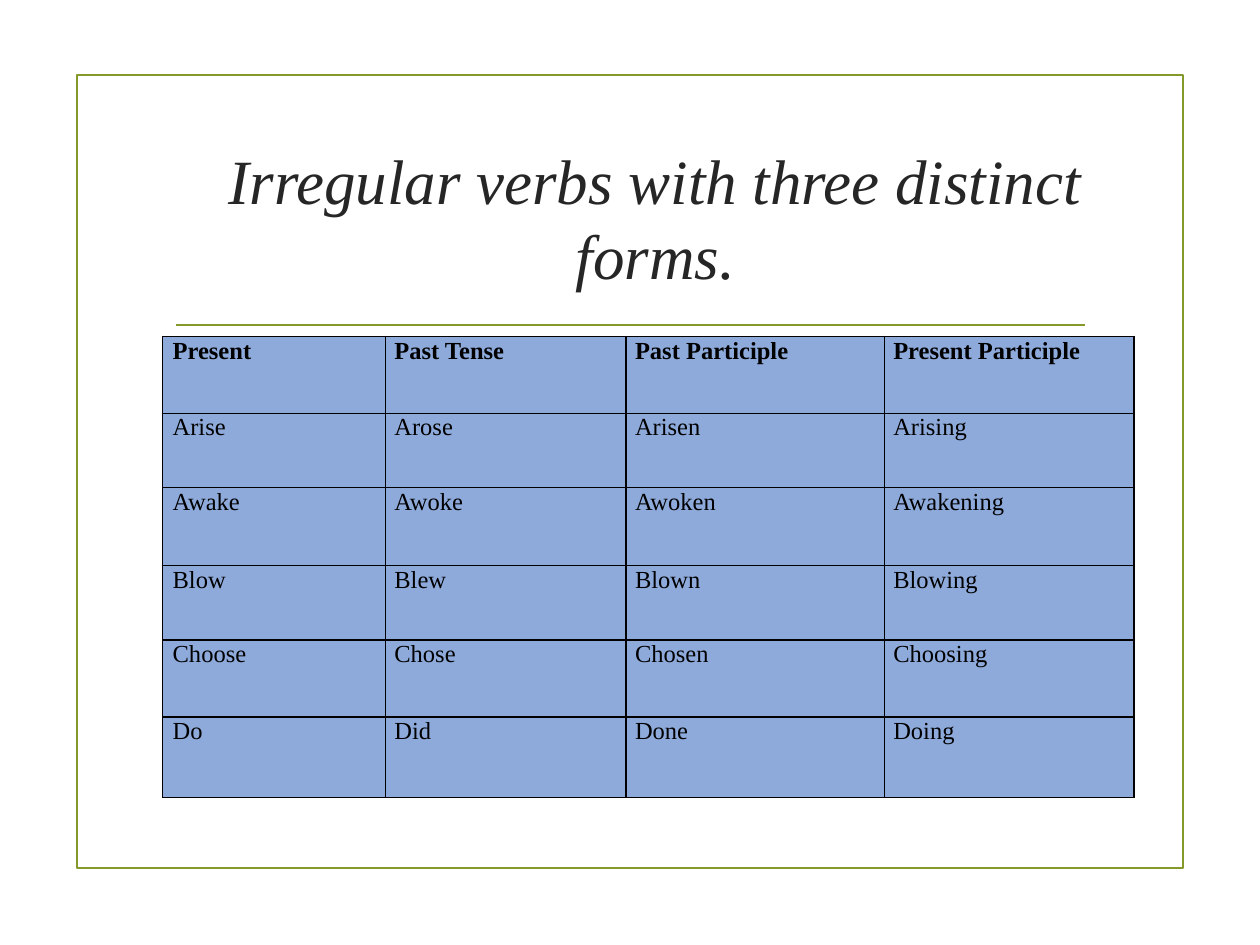
from dataclasses import dataclass

from lxml.etree import SubElement
from pptx import Presentation
from pptx.dml.color import RGBColor as Color
from pptx.enum.shapes import MSO_CONNECTOR as Connector, MSO_SHAPE as Preset
from pptx.enum.text import MSO_ANCHOR as Anchor, MSO_AUTO_SIZE as AutoSize, PP_ALIGN as Align
from pptx.oxml.ns import qn
from pptx.util import Inches, Pt


@dataclass(frozen=True)
class Theme:
    font: str = "Times New Roman"
    accent: Color = Color(0x83, 0x99, 0x2A)
    title: Color = Color(0x26, 0x26, 0x26)
    ink: Color = Color(0, 0, 0)
    cell: Color = Color(0x8E, 0xAA, 0xDB)
    title_size: Pt = Pt(36)
    title_pitch: Pt = Pt(43)
    cell_size: Pt = Pt(14)
    cell_pitch: Pt = Pt(16)
    rule: Pt = Pt(1.25)
    border: Pt = Pt(1)


THEME = Theme()
WIDTH, HEIGHT = 10, 7.5
LEFT = 1.29
COLUMNS = (1.77, 1.91, 2.05, 1.98)
ROWS = (0.61, 0.59, 0.62, 0.59, 0.61, 0.64)
VERBS = (
    ("Present", "Past Tense", "Past Participle", "Present Participle"),
    ("Arise", "Arose", "Arisen", "Arising"),
    ("Awake", "Awoke", "Awoken", "Awakening"),
    ("Blow", "Blew", "Blown", "Blowing"),
    ("Choose", "Chose", "Chosen", "Choosing"),
    ("Do", "Did", "Done", "Doing"),
)


def apply(target, values):
    for name, value in values.items():
        setattr(target, name, value)


def inches(*lengths):
    return [Inches(length) for length in lengths]


def write(paragraph, text, color, indent, layout, **font):
    paragraph.text = text
    apply(paragraph, layout)
    paragraph._p.get_or_add_pPr().set("marL", str(Inches(indent)))
    apply(paragraph.font, {"name": THEME.font, **font})
    paragraph.font.color.rgb = color


def stroke(line):
    line.color.rgb = THEME.accent
    line.width = THEME.rule


def add_frame(slide):
    margin_x, margin_y = 0.061 * WIDTH, 0.079 * HEIGHT
    frame = slide.shapes.add_shape(
        Preset.RECTANGLE,
        *inches(margin_x, margin_y, WIDTH - 2 * margin_x, 0.84 * HEIGHT))
    frame.shadow.inherit = False
    frame.fill.background()
    stroke(frame.line)


def add_rule(slide):
    y = 0.344 * HEIGHT
    rule = slide.shapes.add_connector(
        Connector.STRAIGHT, *inches(0.14 * WIDTH, y, 0.861 * WIDTH, y))
    stroke(rule.line)
    SubElement(rule._element.spPr, qn("a:effectLst"))


def format_title(slide, text):
    title = slide.shapes.title
    names = ("left", "top", "width", "height")
    apply(title, dict(zip(names, inches(LEFT, 1.01, 7.44, 1.43))))
    apply(title.text_frame, {"auto_size": AutoSize.NONE, "word_wrap": True,
                             "vertical_anchor": Anchor.MIDDLE})
    write(title.text_frame.paragraphs[0], text, THEME.title, 0.38,
          {"alignment": Align.CENTER, "line_spacing": THEME.title_pitch},
          size=THEME.title_size, italic=True)


def add_borders(cell):
    properties = cell._tc.get_or_add_tcPr()
    for index, side in enumerate(("lnL", "lnR", "lnT", "lnB")):
        line = properties.makeelement(qn(f"a:{side}"), {"w": str(THEME.border)})
        fill = SubElement(line, qn("a:solidFill"))
        SubElement(fill, qn("a:srgbClr"), val=str(THEME.ink))
        properties.insert(index, line)


def fill_cell(cell, text, indent, bold):
    apply(cell, {"margin_left": 0, "margin_right": 0, "margin_top": 0,
                 "margin_bottom": 0, "vertical_anchor": Anchor.TOP})
    cell.fill.solid()
    cell.fill.fore_color.rgb = THEME.cell
    add_borders(cell)
    write(cell.text_frame.paragraphs[0], text, THEME.ink, indent,
          {"line_spacing": THEME.cell_pitch}, size=THEME.cell_size, bold=bold)


def add_verb_table(slide):
    table = slide.shapes.add_table(
        len(ROWS), len(COLUMNS),
        *inches(LEFT, 2.67, sum(COLUMNS), sum(ROWS))).table
    for column, width in zip(table.columns, COLUMNS):
        column.width = Inches(width)
    for row, height in zip(table.rows, ROWS):
        row.height = Inches(height)
    for row, words in enumerate(VERBS):
        for column, word in enumerate(words):
            fill_cell(table.cell(row, column), word,
                      0.07 if column else 0.08, row == 0)


def main():
    presentation = Presentation()
    apply(presentation, {"slide_width": Inches(WIDTH), "slide_height": Inches(HEIGHT)})
    slide = presentation.slides.add_slide(presentation.slide_layouts[5])
    add_frame(slide)
    add_rule(slide)
    format_title(slide, "Irregular verbs with three distinct forms.")
    add_verb_table(slide)
    presentation.save("out.pptx")


if __name__ == "__main__":
    main()
